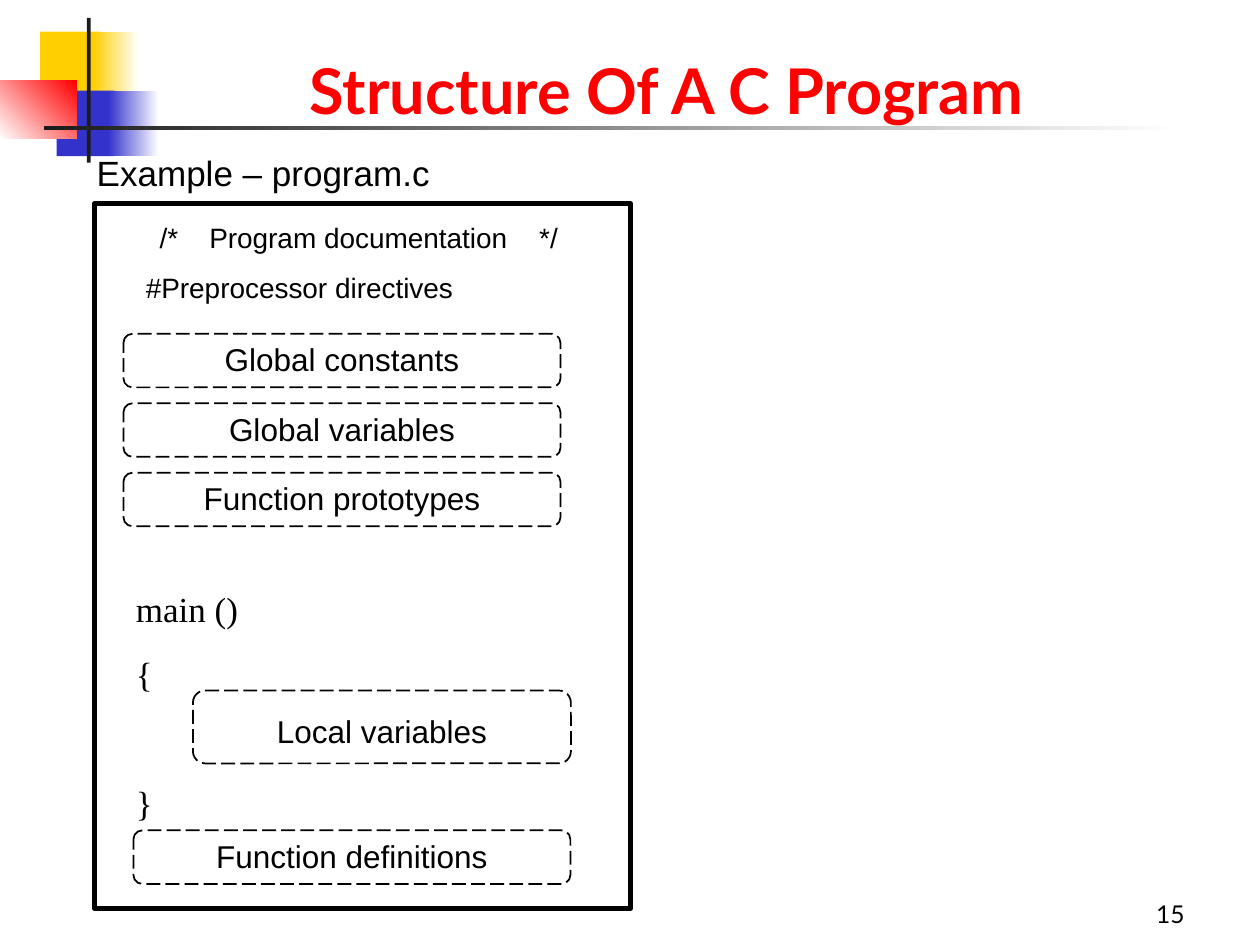
from dataclasses import dataclass
from typing import Optional

from lxml.etree import SubElement
from pptx import Presentation
from pptx.dml.color import RGBColor as RGB
from pptx.enum.dml import MSO_LINE as Dash
from pptx.enum.shapes import MSO_SHAPE as Shape
from pptx.enum.text import MSO_ANCHOR as Anchor, PP_ALIGN as Align
from pptx.oxml.ns import qn
from pptx.util import Cm, Pt


@dataclass(frozen=True)
class Theme:
    black: str = "000000"
    white: str = "FFFFFF"
    red: str = "FF0000"
    yellow: str = "FFCF01"
    blue: str = "3333CC"
    charcoal: str = "1C1C1C"
    sans: str = "Arial"
    serif: str = "Times New Roman"
    display: str = "Lato"
    title: float = 36
    heading: float = 20
    section: float = 18
    comment: float = 16
    number: float = 14


T = Theme()


@dataclass(frozen=True)
class Box:
    """Left, top, width and height in centimetres."""
    x: float
    y: float
    w: float
    h: float

    def emu(self) -> tuple:
        return Cm(self.x), Cm(self.y), Cm(self.w), Cm(self.h)


@dataclass(frozen=True)
class Block:
    box: Box
    start: str
    end: Optional[str] = None
    angle: float = 0


@dataclass(frozen=True)
class Style:
    size: float
    font: str = T.sans
    color: str = T.black
    bold: bool = False
    align: Align = Align.LEFT
    anchor: Anchor = Anchor.TOP


@dataclass(frozen=True)
class Line:
    text: str
    before: float = 0
    tabs: tuple = ()


@dataclass(frozen=True)
class Section:
    label: str
    box: Box
    inset: float = 0.08


def draw_block(s, block: Block) -> None:
    sp = s.shapes.add_shape(Shape.RECTANGLE, *block.box.emu())
    sp.shadow.inherit = False
    sp.line.fill.background()
    if block.end is None:
        sp.fill.solid()
        sp.fill.fore_color.rgb = RGB.from_string(block.start)
        return
    sp.fill.gradient()
    sp.fill.gradient_angle = block.angle
    for stop, color in zip(sp.fill.gradient_stops, (block.start, block.end)):
        stop.color.rgb = RGB.from_string(color)


def draw_outline(s, kind: Shape, box: Box, width: float, dash=None):
    sp = s.shapes.add_shape(kind, *box.emu())
    sp.shadow.inherit = False
    sp.fill.background()
    sp.line.color.rgb = RGB.from_string(T.black)
    sp.line.width = Pt(width)
    if dash is not None:
        sp.line.dash_style = dash
    return sp


def write(tf, style: Style, *lines: Line) -> None:
    tf.word_wrap = True
    tf.vertical_anchor = style.anchor
    for i, line in enumerate(lines):
        p = tf.add_paragraph() if i else tf.paragraphs[0]
        p.alignment = style.align
        p.space_before = Pt(line.before)
        if line.tabs:
            tab_list = SubElement(p._p.get_or_add_pPr(), qn("a:tabLst"))
            for pos in line.tabs:
                SubElement(tab_list, qn("a:tab"), pos=str(Cm(pos)), algn="l")
        r = p.add_run()
        r.text = line.text
        r.font.name = style.font
        r.font.size = Pt(style.size)
        r.font.bold = style.bold
        r.font.color.rgb = RGB.from_string(style.color)


def draw_text(s, box: Box, style: Style, *lines: Line) -> None:
    write(s.shapes.add_textbox(*box.emu()).text_frame, style, *lines)


def draw_section(s, section: Section) -> None:
    sp = draw_outline(s, Shape.ROUNDED_RECTANGLE, section.box, 1, Dash.LONG_DASH)
    sp.text_frame.margin_top = Cm(section.inset)
    write(sp.text_frame, Style(T.section, align=Align.CENTER), Line(section.label))


ORNAMENT = (
    Block(Box(0.81, 0.64, 1.22, 1.32), T.yellow),
    Block(Box(1.88, 0.64, 0.91, 1.32), T.yellow, T.white),
    Block(Box(1.14, 1.83, 1.17, 1.32), T.blue),
    Block(Box(2.18, 1.83, 1.02, 1.32), T.blue, T.white),
    Block(Box(0, 1.63, 1.55, 1.17), T.white, T.red, angle=45),
    Block(Box(1.75, 0.36, 0.08, 2.92), T.charcoal),
    Block(Box(0.89, 2.54, 22.86, 0.08), T.charcoal, T.white),
)

GLOBALS = ("Global constants", "Global variables", "Function prototypes")
GLOBAL_TOP, GLOBAL_PITCH = 6.73, 1.4
SECTIONS = tuple(
    Section(label, Box(2.49, GLOBAL_TOP + i * GLOBAL_PITCH, 8.81, 1.08))
    for i, label in enumerate(GLOBALS)
) + (
    Section("Local variables", Box(3.89, 13.92, 7.62, 1.47), inset=0.36),
    Section("Function definitions", Box(2.69, 16.74, 8.81, 1.08)),
)


def main() -> None:
    prs = Presentation()
    prs.slide_width, prs.slide_height = Cm(25.4), Cm(19.05)
    s = prs.slides.add_slide(prs.slide_layouts[6])

    for block in ORNAMENT:
        draw_block(s, block)
    draw_text(s, Box(18.85, 17.58, 5.28, 1.27),
              Style(T.number, T.display, align=Align.RIGHT, anchor=Anchor.BOTTOM),
              Line("15"))
    draw_text(s, Box(1.91, 1.07, 23.06, 1.47),
              Style(T.title, T.display, T.red, True, Align.CENTER, Anchor.MIDDLE),
              Line("Structure Of A C Program"))

    draw_outline(s, Shape.RECTANGLE, Box(1.91, 4.11, 10.8, 14.2), 3)
    draw_text(s, Box(1.7, 2.92, 8.89, 1.12), Style(T.heading),
              Line("Example – program.c"))
    draw_text(s, Box(2.49, 11.71, 5.21, 4.75), Style(T.heading, T.serif),
              Line("main ()"), Line("{", before=13.5), Line("}", before=49.5))
    draw_text(s, Box(2.97, 4.32, 8.81, 0.94), Style(T.comment),
              Line("/*\tProgram documentation\t*/", tabs=(1, 7.65)))
    draw_text(s, Box(2.69, 5.33, 9.09, 0.94), Style(T.comment),
              Line("#Preprocessor directives"))
    for section in SECTIONS:
        draw_section(s, section)

    prs.save("out.pptx")


if __name__ == "__main__":
    main()
